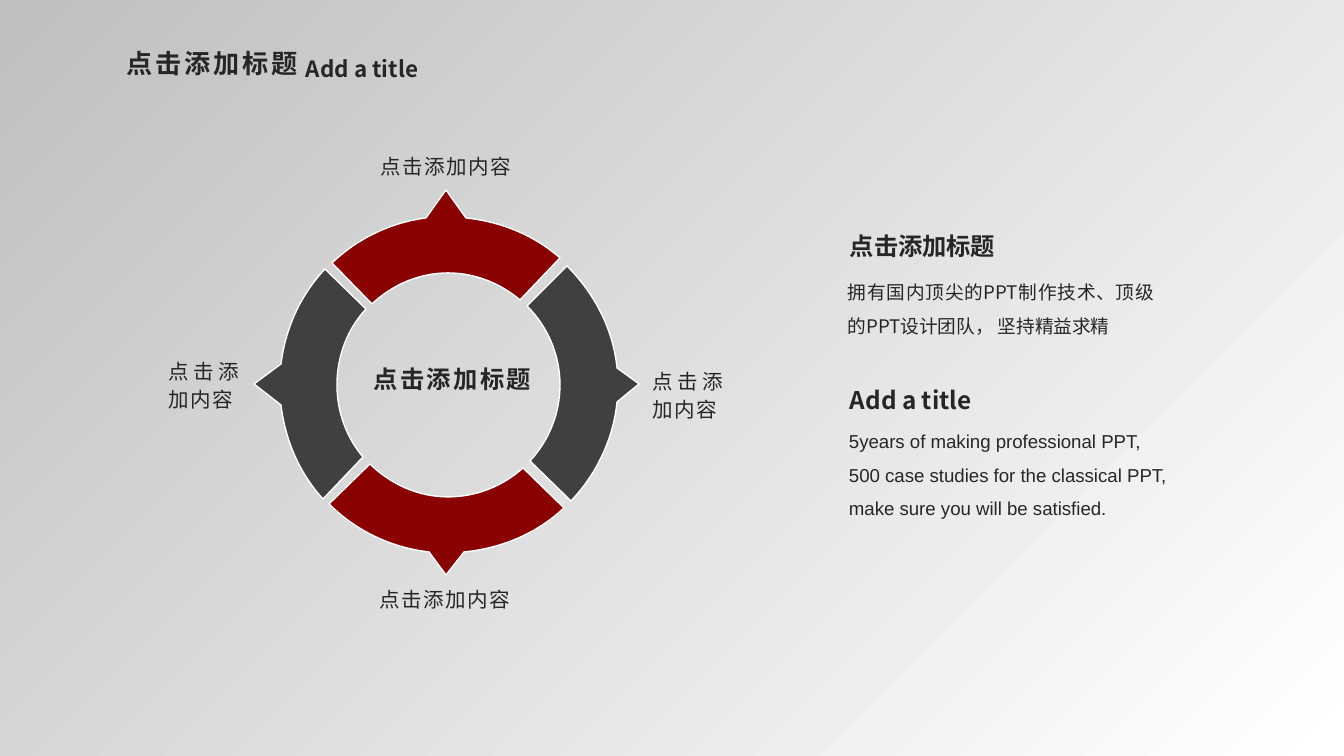
import math

from lxml import etree
from pptx import Presentation
from pptx.dml.color import RGBColor
from pptx.enum.text import MSO_AUTO_SIZE, PP_ALIGN
from pptx.oxml.ns import qn
from pptx.util import Pt

PX = 914400 / 134.4
CENTER = (448, 385)
CURVED_EDGES = (1, 3, 4, 6)
FONT = "Noto Sans CJK SC"
JUSTIFY, CENTERED, LEFT = PP_ALIGN.JUSTIFY, PP_ALIGN.CENTER, PP_ALIGN.LEFT
GROW = MSO_AUTO_SIZE.SHAPE_TO_FIT_TEXT
COLORS = {"text": "262626", "red": "8A0200", "gray": "404040",
          "white": "FFFFFF", "silver": "BFBFBF"}

SEGMENTS = [
    ("red", [(446, 190), (426, 218), (332, 263), (372, 304),
             (448, 273), (520, 300), (560, 258), (466, 218)]),
    ("gray", [(639, 384), (617, 368), (567, 266), (527, 306),
              (560, 385), (530, 461), (571, 501), (617, 402)]),
    ("gray", [(254, 384), (281, 405), (323, 499), (363, 457),
              (337, 385), (366, 309), (325, 269), (281, 364)]),
    ("red", [(446, 575), (464, 552), (564, 508), (523, 468),
             (448, 497), (370, 464), (329, 504), (429, 552)]),
]
LABELS = [(368, 144, 169, 42), (640, 359, 98, 70), (156, 349, 98, 70), (367, 577, 167, 42)]


def px(length):
    """Turn pixels into EMU."""
    return round(length * PX)


def color(name):
    """Look up a named colour."""
    return RGBColor.from_string(COLORS[name])


def paint_background(slide):
    """Shade the slide diagonally from silver to white."""
    fill = slide.background.fill
    fill.gradient()
    fill.gradient_angle = 315
    for stop, name in zip(fill.gradient_stops, ("silver", "white")):
        stop.color.rgb = color(name)


def add_text(slide, box, text, size, bold=False, align=JUSTIFY,
             line_spacing=None, letter_spacing=0, font_name=FONT, inset=13):
    """Add a wrapped one-paragraph text box."""
    frame = slide.shapes.add_textbox(*map(px, box)).text_frame
    frame.word_wrap = True
    frame.auto_size = GROW
    frame.margin_left = px(inset)
    paragraph = frame.paragraphs[0]
    paragraph.text = text
    paragraph.alignment = align
    paragraph.line_spacing = line_spacing
    font = paragraph.font
    font.name, font.size, font.bold = font_name, Pt(size), bold
    font.color.rgb = color("text")
    properties = paragraph._p.get_or_add_pPr().get_or_add_defRPr()
    properties.set("spc", str(round(letter_spacing * 100)))
    etree.SubElement(properties, qn("a:ea"), typeface=font_name)


def arc_controls(start, end):
    """Return the two Bezier control points of an arc around the ring centre."""
    (x1, y1), (x2, y2) = [(x - CENTER[0], y - CENTER[1]) for x, y in (start, end)]
    sweep = math.remainder(math.atan2(y2, x2) - math.atan2(y1, x1), math.tau)
    reach = 4 / 3 * math.tan(sweep / 4)
    return [(start[0] - reach * y1, start[1] + reach * x1),
            (end[0] + reach * y2, end[1] - reach * x2)]


def bend_edge(shape, edge, start, end):
    """Turn a straight outline edge into an arc."""
    edge.tag = qn("a:cubicBezTo")
    for index, (x, y) in enumerate(arc_controls(start, end)):
        point = etree.Element(qn("a:pt"), x=str(px(x) - shape.left), y=str(px(y) - shape.top))
        edge.insert(index, point)


def add_segment(slide, fill, corners):
    """Add a ring segment with an outward pointer."""
    points = [(px(x), px(y)) for x, y in corners]
    builder = slide.shapes.build_freeform(*points[0])
    builder.add_line_segments(points[1:], close=True)
    shape = builder.convert_to_shape()
    edges = list(shape._element.iter(qn("a:lnTo")))
    for index in CURVED_EDGES:
        bend_edge(shape, edges[index], corners[index], corners[index + 1])
    shape.shadow.inherit = False
    shape.fill.solid()
    shape.fill.fore_color.rgb = color(fill)
    shape.line.color.rgb = color("white")
    shape.line.width = Pt(0.75)


def main():
    """Build and save the slide."""
    presentation = Presentation()
    presentation.slide_width, presentation.slide_height = px(1344), px(756)
    slide = presentation.slides.add_slide(presentation.slide_layouts[6])
    paint_background(slide)

    add_text(slide, (295, 47, 145, 42), "Add a title", 12, bold=True,
             line_spacing=Pt(15), inset=11)
    add_text(slide, (116, 44, 206, 42), "点击添加标题", 14, bold=True,
             line_spacing=Pt(15), letter_spacing=1.5, inset=11)
    add_text(slide, (336, 358, 233, 43), "点击添加标题", 13, bold=True,
             align=CENTERED, letter_spacing=1.3)

    for (fill, corners), box in zip(SEGMENTS, LABELS):
        add_segment(slide, fill, corners)
        add_text(slide, box, "点击添加内容", 11, line_spacing=Pt(15), letter_spacing=0.7)

    add_text(slide, (835, 263, 332, 78),
             "拥有国内顶尖的PPT制作技术、顶级的PPT设计团队， 坚持精益求精", 10, line_spacing=1.5)
    add_text(slide, (837, 210, 183, 58), "点击添加标题", 13, bold=True, line_spacing=1.5)
    add_text(slide, (836, 412, 349, 116),
             "5years of making professional PPT, 500 case studies for the classical PPT, "
             "make sure you will be satisfied.",
             10, align=LEFT, line_spacing=1.5, font_name="Arial")
    add_text(slide, (837, 364, 159, 52), "Add a title", 13, bold=True, line_spacing=1.5)
    presentation.save("out.pptx")


if __name__ == "__main__":
    main()
